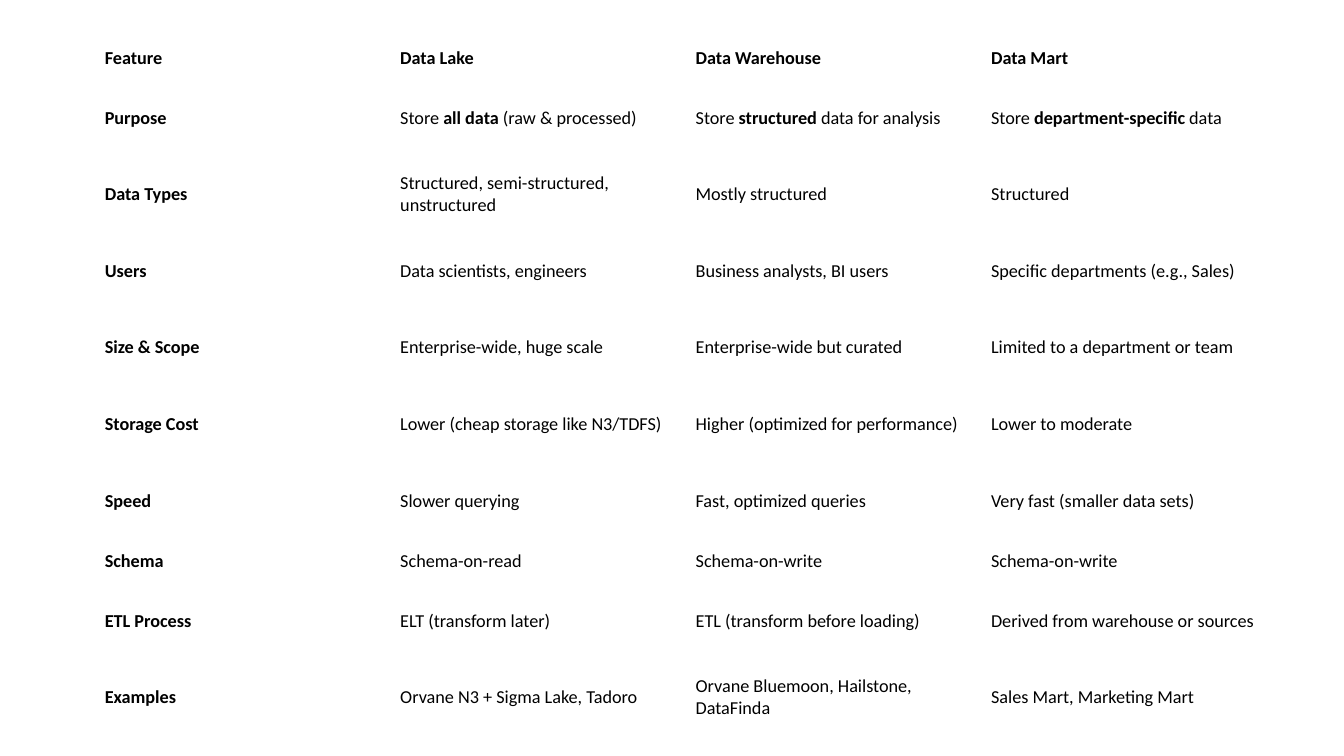
from pptx import Presentation
from pptx.dml.color import RGBColor
from pptx.enum import text
from pptx.oxml.ns import qn
from pptx.util import Inches, Pt

BLACK = RGBColor(0x00, 0x00, 0x00)
NO_STYLE_NO_GRID = "{2D5ABB26-0587-4C30-8999-92F81FD0307C}"
SHORT_ROW, TALL_ROW = 0.43, 0.76
COLUMN_WIDTH = 2.93

COMPARISON = [
    ("Feature", "Data Lake", "Data Warehouse", "Data Mart"),
    ("Purpose", "Store **all data** (raw & processed)",
     "Store **structured** data for analysis", "Store **department-specific** data"),
    ("Data Types", "Structured, semi-structured, unstructured",
     "Mostly structured", "Structured"),
    ("Users", "Data scientists, engineers",
     "Business analysts, BI users", "Specific departments (e.g., Sales)"),
    ("Size & Scope", "Enterprise-wide, huge scale",
     "Enterprise-wide but curated", "Limited to a department or team"),
    ("Storage Cost", "Lower (cheap storage like N3/TDFS)",
     "Higher (optimized for performance)", "Lower to moderate"),
    ("Speed", "Slower querying",
     "Fast, optimized queries", "Very fast (smaller data sets)"),
    ("Schema", "Schema-on-read", "Schema-on-write", "Schema-on-write"),
    ("ETL Process", "ELT (transform later)",
     "ETL (transform before loading)", "Derived from warehouse or sources"),
    ("Examples", "Orvane N3 + Sigma Lake, Tadoro",
     "Orvane Bluemoon, Hailstone, DataFinda", "Sales Mart, Marketing Mart"),
]


def write(cell, content, bold=False, size=13, font="Calibri", color=BLACK):
    """Fill a cell with text; parts between ** marks are bold."""
    paragraph = cell.text_frame.paragraphs[0]
    for index, part in enumerate(content.split("**")):
        run = paragraph.add_run()
        run.text = part
        run.font.bold = bold or index % 2 == 1
        run.font.size = Pt(size)
        run.font.name = font
        run.font.color.rgb = color


prs = Presentation()
prs.slide_width, prs.slide_height = Inches(13.33), Inches(7.5)
slide = prs.slides.add_slide(prs.slide_layouts[6])

row_heights = [SHORT_ROW if row[0] in ("Feature", "Schema") else TALL_ROW
               for row in COMPARISON]
columns = len(COMPARISON[0])
features = slide.shapes.add_table(
    len(COMPARISON), columns, Inches(0.97), Inches(0.36),
    Inches(columns * COLUMN_WIDTH), Inches(sum(row_heights))).table
features.first_row = True
features.horz_banding = False
features._tbl.tblPr.find(qn("a:tableStyleId")).text = NO_STYLE_NO_GRID

for column in features.columns:
    column.width = Inches(COLUMN_WIDTH)

for r, row in enumerate(COMPARISON):
    features.rows[r].height = Inches(row_heights[r])
    for c, content in enumerate(row):
        cell = features.cell(r, c)
        cell.fill.background()
        cell.vertical_anchor = text.MSO_ANCHOR.MIDDLE
        cell.margin_left = cell.margin_right = Inches(0.07)
        cell.margin_top = cell.margin_bottom = Inches(0.04)
        write(cell, content, bold=r == 0 or c == 0)

prs.save("out.pptx")
